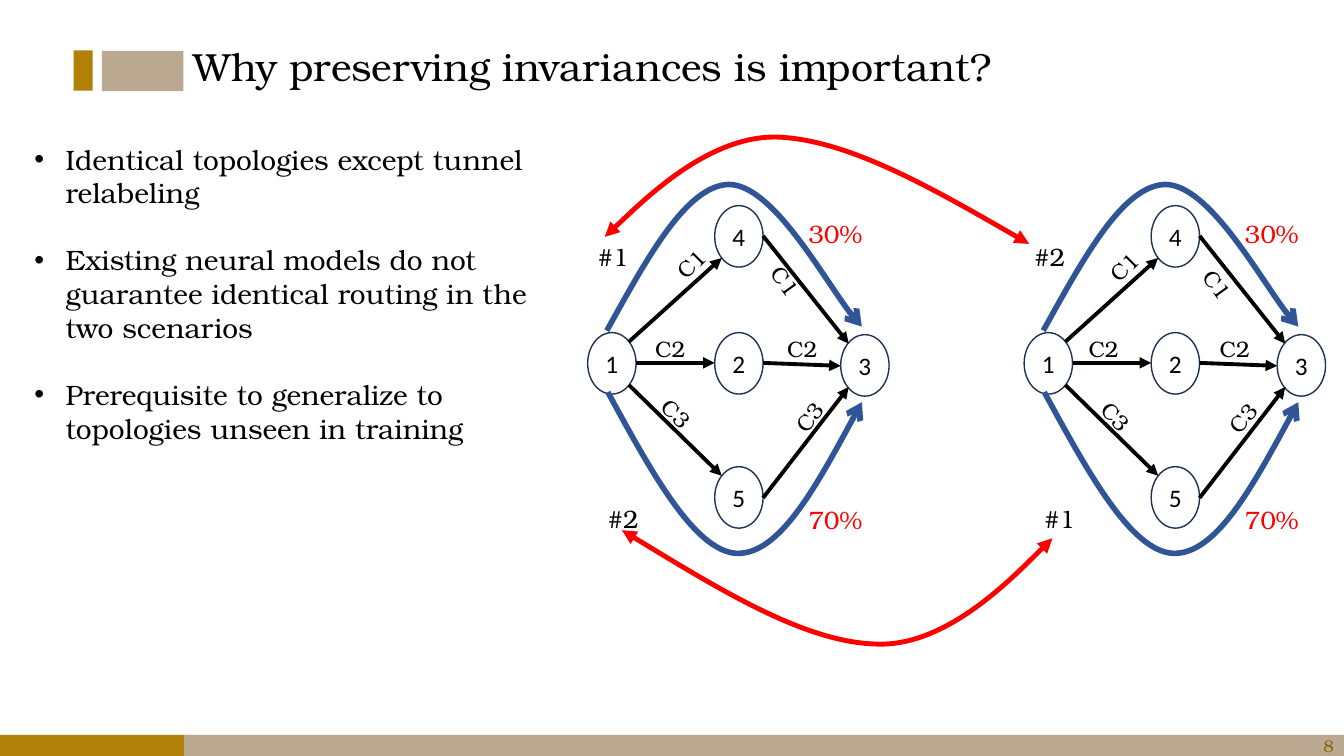
from dataclasses import dataclass

from lxml import etree
from pptx import Presentation
from pptx.dml.color import RGBColor
from pptx.enum.shapes import MSO_CONNECTOR, MSO_SHAPE
from pptx.enum.text import MSO_ANCHOR, MSO_AUTO_SIZE, PP_ALIGN
from pptx.oxml.ns import qn
from pptx.util import Inches, Pt


@dataclass(frozen=True)
class Theme:
    font: str = "TeX Gyre Bonum"
    node_font: str = "Calibri"
    black: str = "000000"
    white: str = "FFFFFF"
    gold: str = "B1810A"
    sand: str = "BBA891"
    page_number: str = "806000"
    red: str = "FF0000"
    blue: str = "2F5597"
    outline: str = "1E3256"
    title_size: int = 28
    body_size: int = 20
    label_size: int = 18
    capacity_size: int = 16
    page_size: int = 12


THEME = Theme()
CELL = Inches(0.1)  # the slide is a grid of square cells, 133.3 columns by 75 rows
COLUMNS, ROWS = 133.33, 75


def write(shape, text, size, color, font=THEME.font, align=PP_ALIGN.LEFT):
    """Fill a shape with paragraphs, one per line of text, in a single style."""
    frame = shape.text_frame
    frame.text = text
    frame.word_wrap = True
    frame.auto_size = MSO_AUTO_SIZE.NONE
    for paragraph in frame.paragraphs:
        paragraph.alignment = align
        for run in paragraph.runs:
            run.font.name = font
            run.font.size = Pt(size)
            run.font.color.rgb = RGBColor.from_string(color)


def draw_arrow(shapes, points, color, width, tail, head=None):
    """Draw a straight arrow through two points, or a Bezier one through more."""
    points = [(int(x * CELL), int(y * CELL)) for x, y in points]
    if len(points) == 2:
        arrow = shapes.add_connector(MSO_CONNECTOR.STRAIGHT, *points[0], *points[1])
    else:
        builder = shapes.build_freeform(*points[0], scale=1.0)
        builder.add_line_segments(points[1:], close=False)
        arrow = builder.convert_to_shape()
        arrow.fill.background()
        path = next(arrow._element.iter(qn("a:path")))
        segments = path.findall(qn("a:lnTo"))
        for start in range(0, len(segments), 3):
            curve = etree.SubElement(path, qn("a:cubicBezTo"))
            for segment in segments[start:start + 3]:
                curve.append(segment[0])
                path.remove(segment)
    arrow.line.color.rgb = RGBColor.from_string(color)
    arrow.line.width = Pt(width)
    line = arrow.line._get_or_add_ln()
    for tag, kind in (("a:headEnd", head), ("a:tailEnd", tail)):
        if kind:
            etree.SubElement(line, qn(tag), type=kind)
    etree.SubElement(arrow._element.spPr, qn("a:effectLst"))


presentation = Presentation()
presentation.slide_width = int(COLUMNS * CELL)
presentation.slide_height = ROWS * CELL
slide = presentation.slides.add_slide(presentation.slide_layouts[1])

# Bars beside the title and along the foot
bars = [
    (0, 72.9, 18.3, 2.2, THEME.gold),
    (18.25, 72.9, 115.08, 2.2, THEME.sand),
    (7.3, 5, 1.9, 4, THEME.gold),
    (10.1, 5.05, 8.1, 4, THEME.sand),
]
for *box, color in bars:
    bar = slide.shapes.add_shape(MSO_SHAPE.RECTANGLE, *(int(n * CELL) for n in box))
    bar.fill.solid()
    bar.fill.fore_color.rgb = RGBColor.from_string(color)
    bar.line.fill.background()
    bar.shadow.inherit = False

page_box = (103.3, 72, 30, 4)
page = slide.shapes.add_textbox(*(int(n * CELL) for n in page_box))
write(page, "8", THEME.page_size, THEME.page_number, align=PP_ALIGN.RIGHT)
page.text_frame.vertical_anchor = MSO_ANCHOR.MIDDLE

# Title and bullets
title, body = slide.shapes.title, slide.placeholders[1]
for placeholder, box in ((title, (18.2, 3.7, 115, 5.7)), (body, (2.4, 13.6, 52, 31.3))):
    placeholder.left, placeholder.top, placeholder.width, placeholder.height = (
        int(n * CELL) for n in box)
write(title, "Why preserving invariances is important?", THEME.title_size, THEME.black)
bullets = [
    "Identical topologies except tunnel relabeling",
    "Existing neural models do not guarantee identical routing in the two scenarios",
    "Prerequisite to generalize to topologies unseen in training",
]
write(body, "\n".join(bullets), THEME.body_size, THEME.black)
for index, paragraph in enumerate(body.text_frame.paragraphs):
    paragraph.space_before = Pt(24 if index else 0)
    properties = paragraph._p.get_or_add_pPr()
    properties.set("marL", str(Inches(0.31)))
    properties.set("indent", str(-Inches(0.31)))

# Red arrows that match the relabeled tunnels
swaps = [
    [(61.7, 52.6), (70.9, 58.2), (80, 63.8), (87.1, 63.9),
     (94.2, 64.1), (104.4, 53.4), (104.4, 53.4)],
    [(102.1, 24.2), (93.1, 19), (84, 13.8), (77, 13.6),
     (70, 13.5), (60, 23.5), (60, 23.5)],
]
for swap in swaps:
    draw_arrow(slide.shapes, swap, THEME.red, 3.5, tail="triangle", head="triangle")

# Parts of one topology, with columns counted from its left edge
nodes = {"1": (0, 33), "2": (12.6, 33), "3": (25.1, 33.2),
         "4": (12.6, 20.4), "5": (12.6, 46.3)}
links = [
    [(4.1, 33.9), (13.3, 25.6)], [(4.8, 36), (12.6, 36)], [(4.1, 38.2), (13.3, 47.2)],
    [(17.4, 23.4), (25.9, 34.1)], [(17.4, 36), (25.1, 36.3)], [(17.4, 49.4), (25.9, 38.4)],
]
tunnels = [
    [(2, 38.9), (6.3, 46.8), (10.6, 54.7), (14.8, 54.9),
     (19, 55), (23.1, 47.5), (27.2, 39.9)],
    [(1.9, 32.8), (5.9, 25.6), (9.8, 18.4), (14, 18.3),
     (18.3, 18.3), (25, 30.4), (27.2, 32.4)],
]
capacities = [
    ("C1", 7.8, 24.3, 315), ("C1", 17.1, 26.1, 54.2),
    ("C2", 5.7, 32.8, 0), ("C2", 18.8, 32.8, 0),
    ("C3", 6.3, 39.2, 45.9), ("C3", 19.5, 39.5, 310.8),
]
still = [(0, 0)] * len(capacities)
nudged = [(-0.4, 0.3), (-0.4, 0.3), (-0.3, 0), (-0.4, 0), (0.3, 0.3), (-0.3, 0.1)]
topologies = [(58.3, "#1", "#2", still), (101.6, "#2", "#1", nudged)]

for left, upper_tunnel, lower_tunnel, nudges in topologies:
    shapes = slide.shapes.add_group_shape().shapes
    for name, (column, row) in nodes.items():
        box = (left + column, row, 4.8, 6.1)
        node = shapes.add_shape(MSO_SHAPE.FLOWCHART_CONNECTOR, *(int(n * CELL) for n in box))
        node.fill.solid()
        node.fill.fore_color.rgb = RGBColor.from_string(THEME.white)
        node.line.color.rgb = RGBColor.from_string(THEME.outline)
        node.line.width = Pt(1)
        node.shadow.inherit = False
        write(node, name, THEME.label_size, THEME.black, THEME.node_font, PP_ALIGN.CENTER)

    arrows = [(link, THEME.black, 2.75, "triangle") for link in links]
    arrows += [(tunnel, THEME.blue, 4, "arrow") for tunnel in tunnels]
    for points, color, width, tail in arrows:
        shifted = [(left + column, row) for column, row in points]
        draw_arrow(shapes, shifted, color, width, tail)

    labels = [
        ("30%", 20.9, 21.2, 8.5, 4, 0, THEME.label_size, THEME.red),
        ("70%", 20.9, 49.5, 8.5, 4, 0, THEME.label_size, THEME.red),
        (upper_tunnel, 0, 23.4, 7.6, 4, 0, THEME.label_size, THEME.black),
        (lower_tunnel, 1, 49.4, 7.6, 4, 0, THEME.label_size, THEME.black),
    ]
    labels += [
        (text, column + right, row + down, 5.1, 3.7, turn, THEME.capacity_size, THEME.black)
        for (text, column, row, turn), (right, down) in zip(capacities, nudges)
    ]
    for text, column, row, width, height, turn, size, color in labels:
        box = (left + column, row, width, height)
        label = shapes.add_textbox(*(int(n * CELL) for n in box))
        label.rotation = turn
        write(label, text, size, color)

presentation.save("out.pptx")
